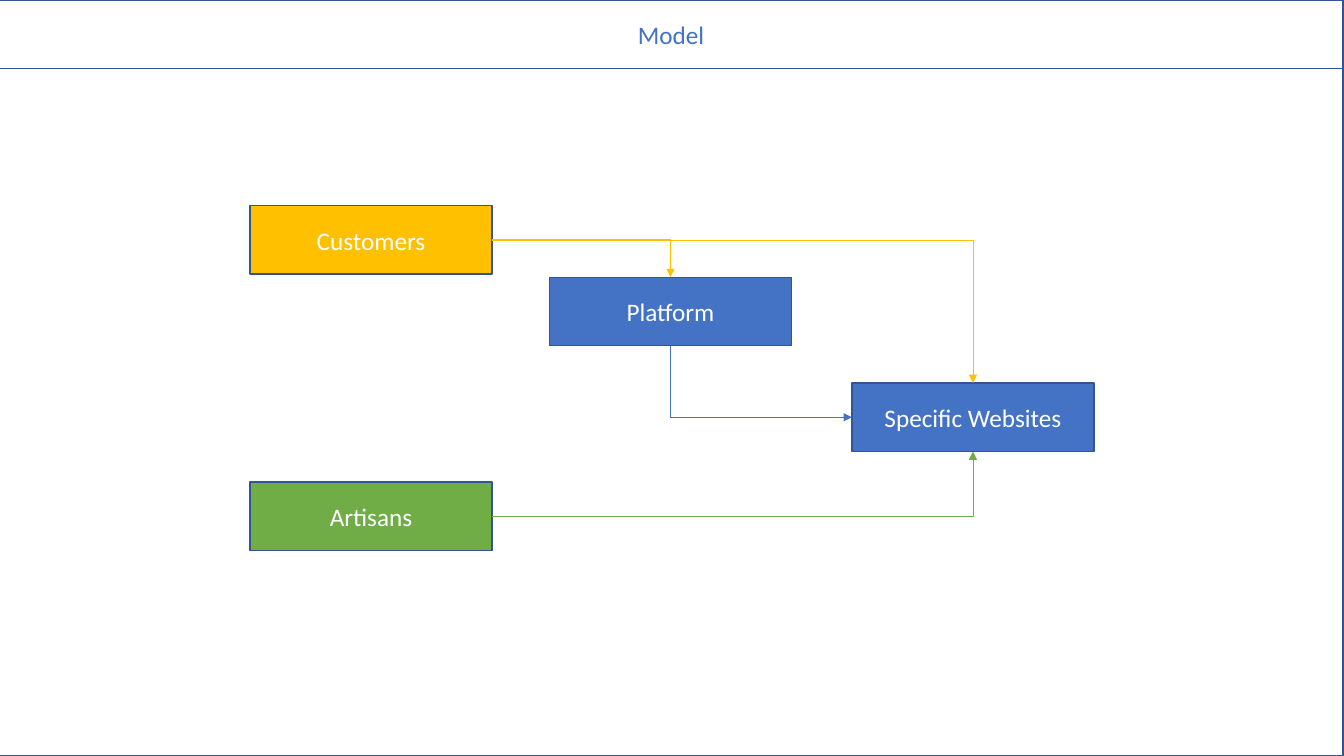
"""Draw the model of customers, artisans, platform and websites."""
import lxml.etree
import pptx
import pptx.dml.color
import pptx.enum.shapes
import pptx.enum.text
import pptx.oxml.ns
import pptx.util

Inches = pptx.util.Inches
Pt = pptx.util.Pt
qn = pptx.oxml.ns.qn
BLUE, GOLD, GREEN = "4472C4", "FFC000", "70AD47"
WHITE, EDGE = "FFFFFF", "325491"
TOP, LEFT, BASE, RIGHT = range(4)


def tint(code):
    return pptx.dml.color.RGBColor.from_string(code)


def apply(item, form):
    for key, value in form.items():
        setattr(item, key, value)


class Board:
    def __init__(self, slide):
        self.slide = slide
        self.font = {"name": "Calibri", "size": Pt(18)}
        self.frame = {"word_wrap": True,
                      "vertical_anchor": pptx.enum.text.MSO_ANCHOR.MIDDLE}

    def box(self, left, top, wide, high, fill=None, text="", color=WHITE):
        kind = pptx.enum.shapes.MSO_SHAPE.RECTANGLE
        place = [Inches(n) for n in (left, top, wide, high)]
        shape = self.slide.shapes.add_shape(kind, *place)
        shape.shadow.inherit = False
        if fill:
            shape.fill.solid()
            shape.fill.fore_color.rgb = tint(fill)
        else:
            shape.fill.background()
        shape.line.color.rgb = tint(EDGE)
        shape.line.width = Pt(1)
        if text:
            apply(shape.text_frame, self.frame)
            para = shape.text_frame.paragraphs[0]
            para.alignment = pptx.enum.text.PP_ALIGN.CENTER
            run = para.add_run()
            run.text = text
            apply(run.font, self.font)
            run.font.color.rgb = tint(color)
        return shape

    def arrow(self, start, out, end, into, color):
        kind = pptx.enum.shapes.MSO_CONNECTOR.ELBOW
        link = self.slide.shapes.add_connector(kind, 0, 0, 0, 0)
        link.begin_connect(start, out)
        link.end_connect(end, into)
        link.line.color.rgb = tint(color)
        link.line.width = Pt(0.5)
        props = link._element.spPr
        props.find(qn("a:prstGeom")).set("prst", "bentConnector2")
        tail = lxml.etree.SubElement(props.find(qn("a:ln")), qn("a:tailEnd"))
        tail.set("type", "triangle")
        lxml.etree.SubElement(props, qn("a:effectLst"))
        if out == BASE:
            self.turn(link)

    def turn(self, link):
        wide, high = link.width, link.height
        shift = (wide - high) // 2
        apply(link, {"left": link.left + shift, "top": link.top - shift,
                     "width": high, "height": wide})
        frame = link._element.spPr.find(qn("a:xfrm"))
        frame.set("rot", str(270 * 60000))
        frame.set("flipH", "1")


deck = pptx.Presentation()
apply(deck, {"slide_width": Inches(13.33), "slide_height": Inches(7.5)})
board = Board(deck.slides.add_slide(deck.slide_layouts[6]))

wide, high = 2.4, 0.68
sites = board.box(8.45, 3.8, wide, high, BLUE, "Specific Websites")
hub = board.box(5.45, 2.75, wide, high, BLUE, "Platform")
buyers = board.box(2.48, 2.04, wide, high, GOLD, "Customers")
makers = board.box(2.48, 4.78, wide, high, GREEN, "Artisans")

board.arrow(hub, BASE, sites, LEFT, BLUE)
board.arrow(buyers, RIGHT, sites, TOP, GOLD)
board.arrow(buyers, RIGHT, hub, TOP, GOLD)
board.arrow(makers, RIGHT, sites, BASE, GREEN)

board.box(-0.01, 0, 13.33, high, text="Model", color=BLUE)
board.box(-0.01, 0, 13.33, 7.5)
deck.save("out.pptx")
